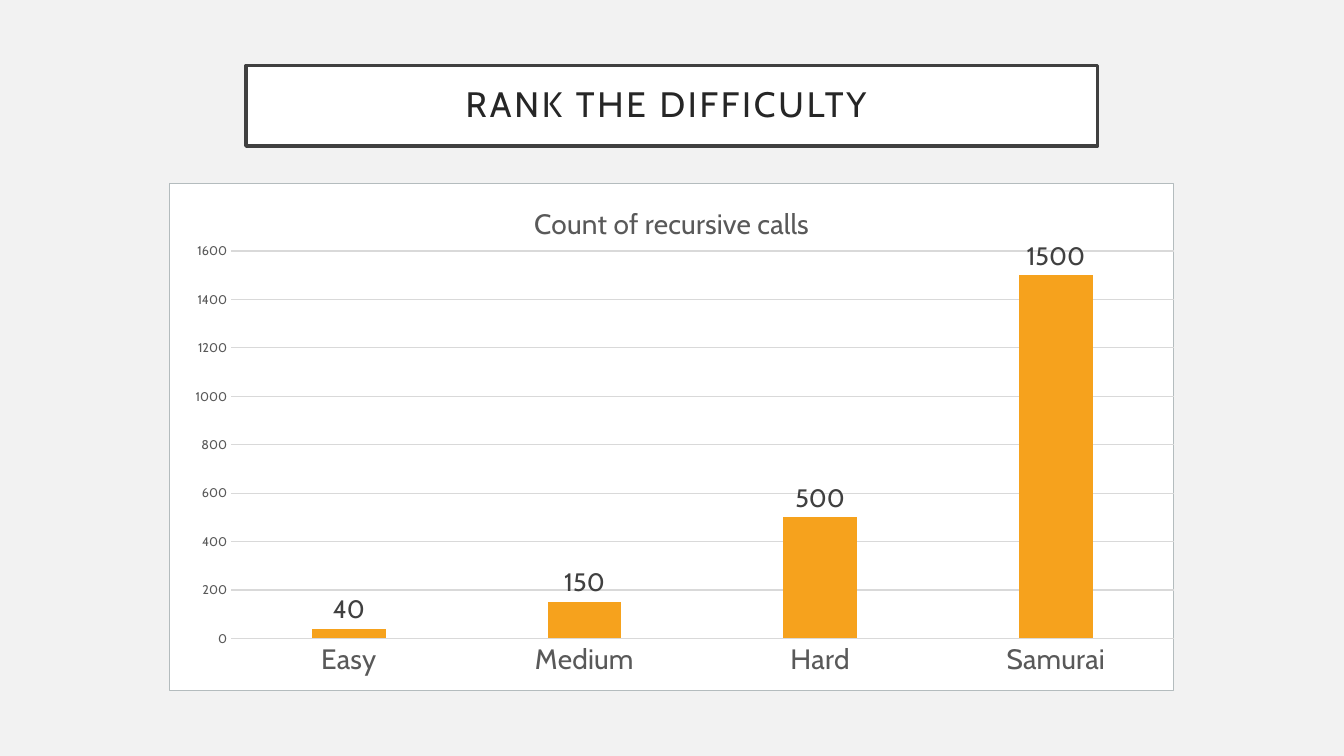
import pptx
import pptx.chart.data
import pptx.dml.color
import pptx.enum.chart
import pptx.enum.text
import pptx.oxml
import pptx.oxml.ns
import pptx.util

Cm, Pt = pptx.util.Cm, pptx.util.Pt
COLOURS = {
    "page": "F2F2F2", "panel": "FFFFFF", "frame": "404040", "title": "262626",
    "axis": "595959", "grid": "D9D9D9", "border": "B4BCBE", "bar": "F6A21D",
}
CALLS = {"Easy": 40, "Medium": 150, "Hard": 500, "Samurai": 1500}
PLOT = {"x": 0.061, "y": 0.133, "w": 0.939, "h": 0.765}


class DifficultySlide:
    """Holds the style and the current page, and adds styled elements to it."""

    def __init__(self, deck, family="Cabin"):
        self.family = family
        self.page = deck.slides.add_slide(deck.slide_layouts[5])
        self.fill(self.page.background, "page")

    def colour(self, name):
        return pptx.dml.color.RGBColor.from_string(COLOURS[name])

    def fill(self, item, name):
        item.fill.solid()
        item.fill.fore_color.rgb = self.colour(name)

    def line(self, line, name, width):
        line.color.rgb = self.colour(name)
        line.width = Pt(width)

    def font(self, font, size, name):
        font.name, font.size, font.bold = self.family, Pt(size), False
        font.color.rgb = self.colour(name)

    def title(self, text, left, top, width, height):
        box = self.page.shapes.title
        box.left, box.top, box.width, box.height = map(Cm, (left, top, width, height))
        self.fill(box, "panel")
        self.line(box.line, "frame", 2.5)
        frame = box.text_frame
        frame.text = text
        frame.word_wrap = True
        frame.auto_size = pptx.enum.text.MSO_AUTO_SIZE.NONE
        frame.vertical_anchor = pptx.enum.text.MSO_ANCHOR.MIDDLE
        frame.margin_left = frame.margin_right = Cm(0.51)
        frame.margin_top = frame.margin_bottom = Cm(0.51)
        para = frame.paragraphs[0]
        para.alignment = pptx.enum.text.PP_ALIGN.CENTER
        para.line_spacing = 0.9
        self.font(para.font, 25.2, "title")
        para.runs[0]._r.get_or_add_rPr().set("spc", "200")

    def column_chart(self, name, counts, left, top, width, height):
        data = pptx.chart.data.CategoryChartData()
        data.categories = list(counts)
        data.add_series(name, list(counts.values()))
        kind = pptx.enum.chart.XL_CHART_TYPE.COLUMN_CLUSTERED
        chart = self.page.shapes.add_chart(
            kind, *map(Cm, (left, top, width, height)), data).chart
        chart.has_legend = False
        chart.font.name, chart.font.size = self.family, Pt(10)
        chart.has_title = True
        chart.chart_title.include_in_layout = False
        heading = chart.chart_title.text_frame
        heading.text = name
        self.font(heading.paragraphs[0].font, 20, "axis")
        self.bars(chart.plots[0])
        self.axes(chart)
        self.chart_area(chart)

    def bars(self, plot):
        plot.gap_width, plot.overlap = 219, -27
        plot.vary_by_categories = False
        series = plot.series[0]
        self.fill(series.format, "bar")
        labels = series.data_labels
        labels.show_value = True
        labels.position = pptx.enum.chart.XL_LABEL_POSITION.OUTSIDE_END
        self.font(labels.font, 18, "frame")

    def axes(self, chart):
        for axis, size in ((chart.category_axis, 20), (chart.value_axis, 9)):
            axis.major_tick_mark = pptx.enum.chart.XL_TICK_MARK.NONE
            axis.minor_tick_mark = pptx.enum.chart.XL_TICK_MARK.NONE
            self.font(axis.tick_labels.font, size, "axis")
        self.line(chart.category_axis.format.line, "grid", 0.75)
        values = chart.value_axis
        values.minimum_scale, values.maximum_scale, values.major_unit = 0, 1600, 200
        values.format.line.fill.background()
        values.has_major_gridlines = True
        self.line(values.major_gridlines.format.line, "grid", 0.75)

    def chart_area(self, chart):
        space = chart._chartSpace
        names = pptx.oxml.ns.nsdecls("c", "a")
        area = pptx.oxml.parse_xml(
            f'<c:spPr {names}><a:solidFill><a:srgbClr val="{COLOURS["panel"]}"/></a:solidFill>'
            f'<a:ln w="{Pt(0.5)}"><a:solidFill><a:srgbClr val="{COLOURS["border"]}"/>'
            '</a:solidFill></a:ln></c:spPr>')
        space.find(pptx.oxml.ns.qn("c:chart")).addnext(area)
        modes = "".join(f'<c:{key}Mode val="edge"/>' for key in "xy")
        sizes = "".join(f'<c:{key} val="{share}"/>' for key, share in PLOT.items())
        layout = pptx.oxml.parse_xml(
            f'<c:layout {names}><c:manualLayout><c:layoutTarget val="inner"/>'
            f'{modes}{sizes}</c:manualLayout></c:layout>')
        plot_area = space.find(".//" + pptx.oxml.ns.qn("c:plotArea"))
        for old in plot_area.findall(pptx.oxml.ns.qn("c:layout")):
            plot_area.remove(old)
        plot_area.insert(0, layout)


def main():
    deck = pptx.Presentation()
    deck.slide_width, deck.slide_height = Cm(33.87), Cm(19.05)
    slide = DifficultySlide(deck)
    slide.title("RANK THE DIFFICULTY ", 6.2, 1.65, 21.46, 2.03)
    slide.column_chart("Count of recursive calls", CALLS, 4.27, 4.62, 25.32, 12.78)
    deck.save("out.pptx")


if __name__ == "__main__":
    main()
